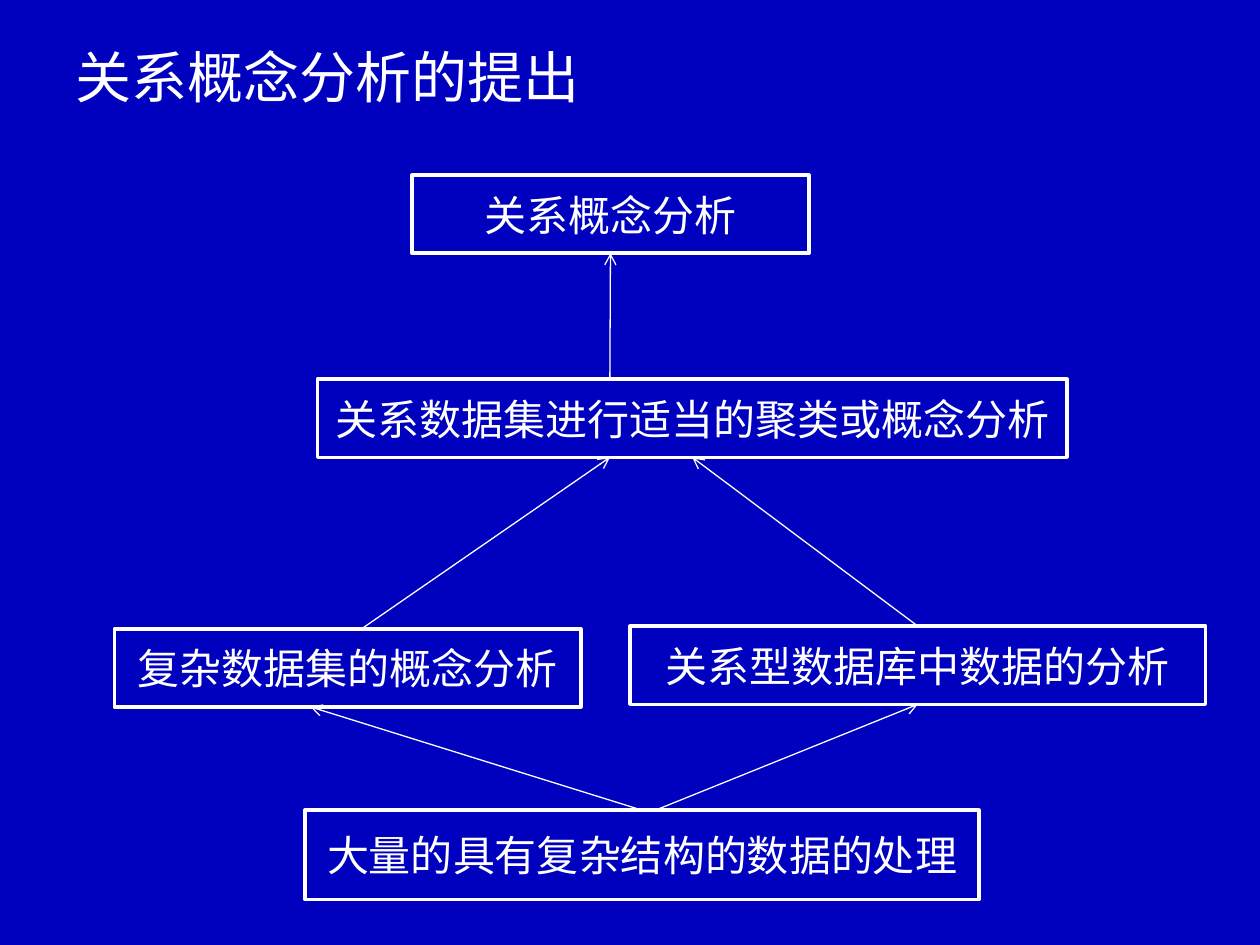
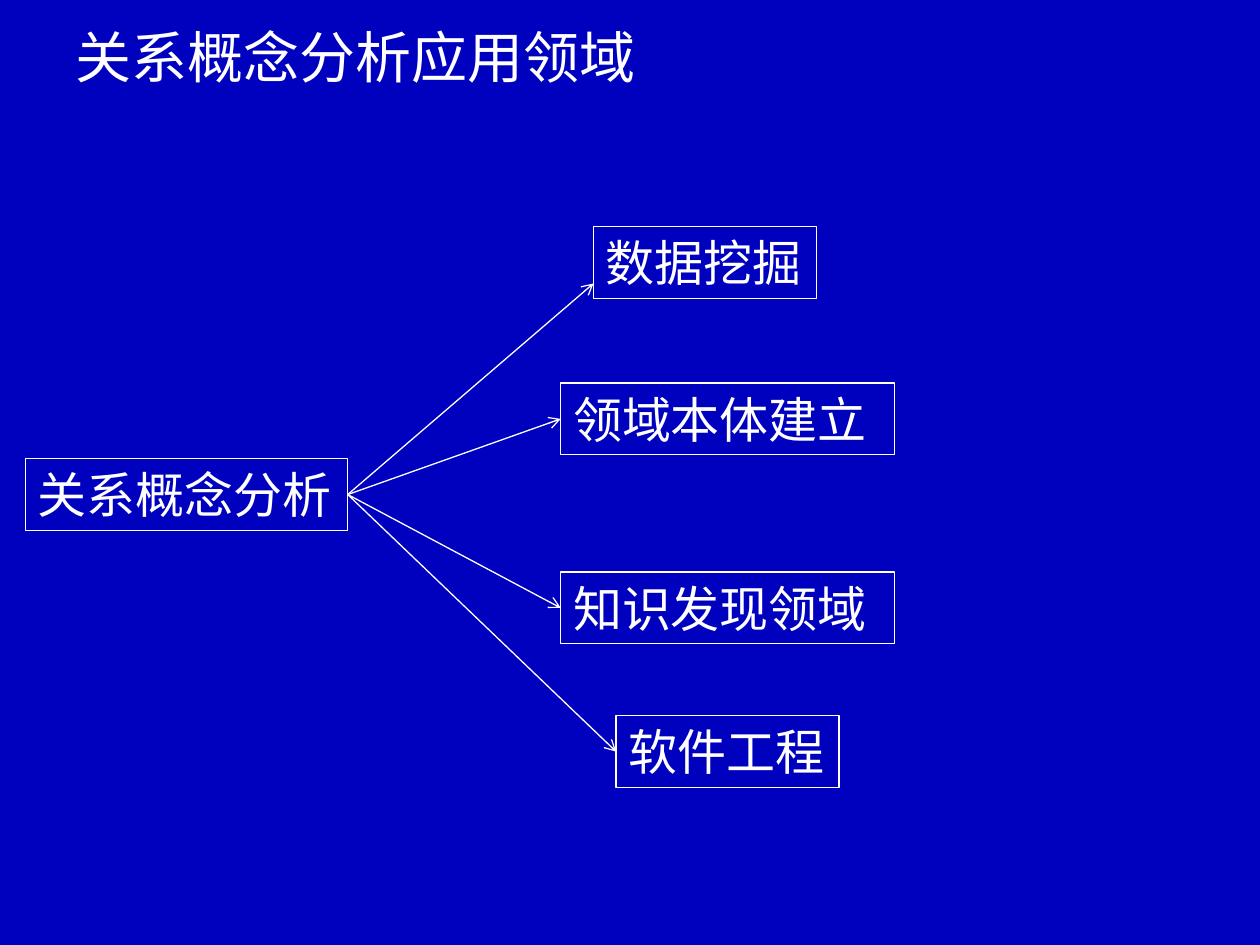
import pptx
import pptx.util
import pptx.dml.color
import pptx.enum.shapes
import pptx.enum.text
from lxml import etree

# Shared style
COLOURS = {"ground": "0000BF", "ink": "FFFFFF"}
FONT = "Calibri"
TITLE_SIZE = 32
THIN = 0.75
COLUMNS, ROWS = 100, 75
WIDTH, HEIGHT = pptx.util.Inches(10), pptx.util.Inches(7.5)

# Points on a box edge: (across, down) as shares of the box
SIDES = {
    "top": lambda share: (share, 0),
    "bottom": lambda share: (share, 1),
    "left": lambda share: (0, share),
    "right": lambda share: (1, share),
}

# Content: boxes are text and (column, row, columns wide, rows high);
# arrows are (box, side, share along the side) for start and end
SLIDES = [
    {
        "title": "关系概念分析的提出",
        "title_area": (5, 2.9, 92.2, 69.3),
        "size": 24, "outline": 2, "fitted": False,
        "boxes": {
            "processing": ("大量的具有复杂结构的数据的处理", (24.2, 64.3, 53.5, 7.1)),
            "relational": ("关系概念分析", (32.7, 13.9, 31.5, 6.2)),
            "database": ("关系型数据库中数据的分析", (50, 49.7, 45.7, 6.2)),
            "clustering": ("关系数据集进行适当的聚类或概念分析", (25.2, 30.1, 59.5, 6.2)),
            "complex": ("复杂数据集的概念分析", (9.1, 49.9, 37, 6.2)),
        },
        "arrows": [
            (("processing", "top", 0.5), ("complex", "bottom", 0.42)),
            (("processing", "top", 0.52), ("database", "bottom", 0.5)),
            (("complex", "top", 0.53), ("clustering", "bottom", 0.39)),
            (("database", "top", 0.5), ("clustering", "bottom", 0.5)),
            (("clustering", "top", 0.39), ("relational", "bottom", 0.5)),
        ],
    },
    {
        "title": "关系概念分析应用领域",
        "title_area": (5, 1.3, 90, 65.7),
        "size": 28, "outline": THIN, "fitted": True,
        "boxes": {
            "relational": ("关系概念分析", (2, 36.4, 25.6, 5.7)),
            "mining": ("数据挖掘", (47.1, 18, 17.7, 5.7)),
            "ontology": ("领域本体建立 ", (44.5, 30.4, 26.5, 5.7)),
            "discovery": ("知识发现领域 ", (44.5, 45.4, 26.5, 5.7)),
            "software": ("软件工程", (48.9, 56.8, 17.7, 5.7)),
        },
        "arrows": [
            (("relational", "right", 0.5), (field, "left", share))
            for field, share in [("mining", 0.79), ("ontology", 0.5),
                                 ("discovery", 0.5), ("software", 0.5)]
        ],
    },
]


def colour(name):
    return pptx.dml.color.RGBColor.from_string(COLOURS[name])


def across(columns):
    return round(WIDTH * columns / COLUMNS)


def down(rows):
    return round(HEIGHT * rows / ROWS)


def place(area):
    left, top, width, height = area
    return across(left), down(top), across(width), down(height)


def write(para, text, size):
    span = para.add_run()
    span.text = text
    span.font.name = FONT
    span.font.size = pptx.util.Pt(size)
    span.font.color.rgb = colour("ink")


def draw_line_style(shape, width):
    shape.line.color.rgb = colour("ink")
    shape.line.width = pptx.util.Pt(width)


def add_title(page, text, area):
    frame = page.shapes.add_textbox(*place(area)).text_frame
    frame.word_wrap = True
    para = frame.paragraphs[0]
    para.space_before = pptx.util.Pt(TITLE_SIZE * 0.2)
    write(para, text, TITLE_SIZE)


def add_box(page, text, area, size, outline, fitted):
    box = page.shapes.add_shape(
        pptx.enum.shapes.MSO_SHAPE.RECTANGLE, *place(area))
    box.shadow.inherit = False
    box.fill.background()
    draw_line_style(box, outline)
    frame, para = box.text_frame, box.text_frame.paragraphs[0]
    frame.word_wrap = not fitted
    if fitted:
        frame.auto_size = pptx.enum.text.MSO_AUTO_SIZE.SHAPE_TO_FIT_TEXT
        frame.vertical_anchor = pptx.enum.text.MSO_ANCHOR.TOP
        para.alignment = pptx.enum.text.PP_ALIGN.LEFT
    else:
        frame.vertical_anchor = pptx.enum.text.MSO_ANCHOR.MIDDLE
        para.alignment = pptx.enum.text.PP_ALIGN.CENTER
    write(para, text, size)


def edge_point(boxes, end):
    name, side, share = end
    left, top, width, height = boxes[name][1]
    x, y = SIDES[side](share)
    return across(left + x * width), down(top + y * height)


def add_arrow(page, start, end):
    arrow = page.shapes.add_connector(
        pptx.enum.shapes.MSO_CONNECTOR.STRAIGHT, *start, *end)
    draw_line_style(arrow, THIN)
    namespace = "{http://schemas.openxmlformats.org/drawingml/2006/main}"
    properties = arrow.line._get_or_add_ln()
    etree.SubElement(properties, namespace + "tailEnd", type="arrow")
    etree.SubElement(properties.getparent(), namespace + "effectLst")


# Build the deck
deck = pptx.Presentation()
deck.slide_width, deck.slide_height = WIDTH, HEIGHT
for content in SLIDES:
    page = deck.slides.add_slide(deck.slide_layouts[6])
    page.background.fill.solid()
    page.background.fill.fore_color.rgb = colour("ground")
    add_title(page, content["title"], content["title_area"])
    for text, area in content["boxes"].values():
        add_box(page, text, area, content["size"], content["outline"],
                content["fitted"])
    for start, end in content["arrows"]:
        add_arrow(page, edge_point(content["boxes"], start),
                  edge_point(content["boxes"], end))

deck.save("out.pptx")
